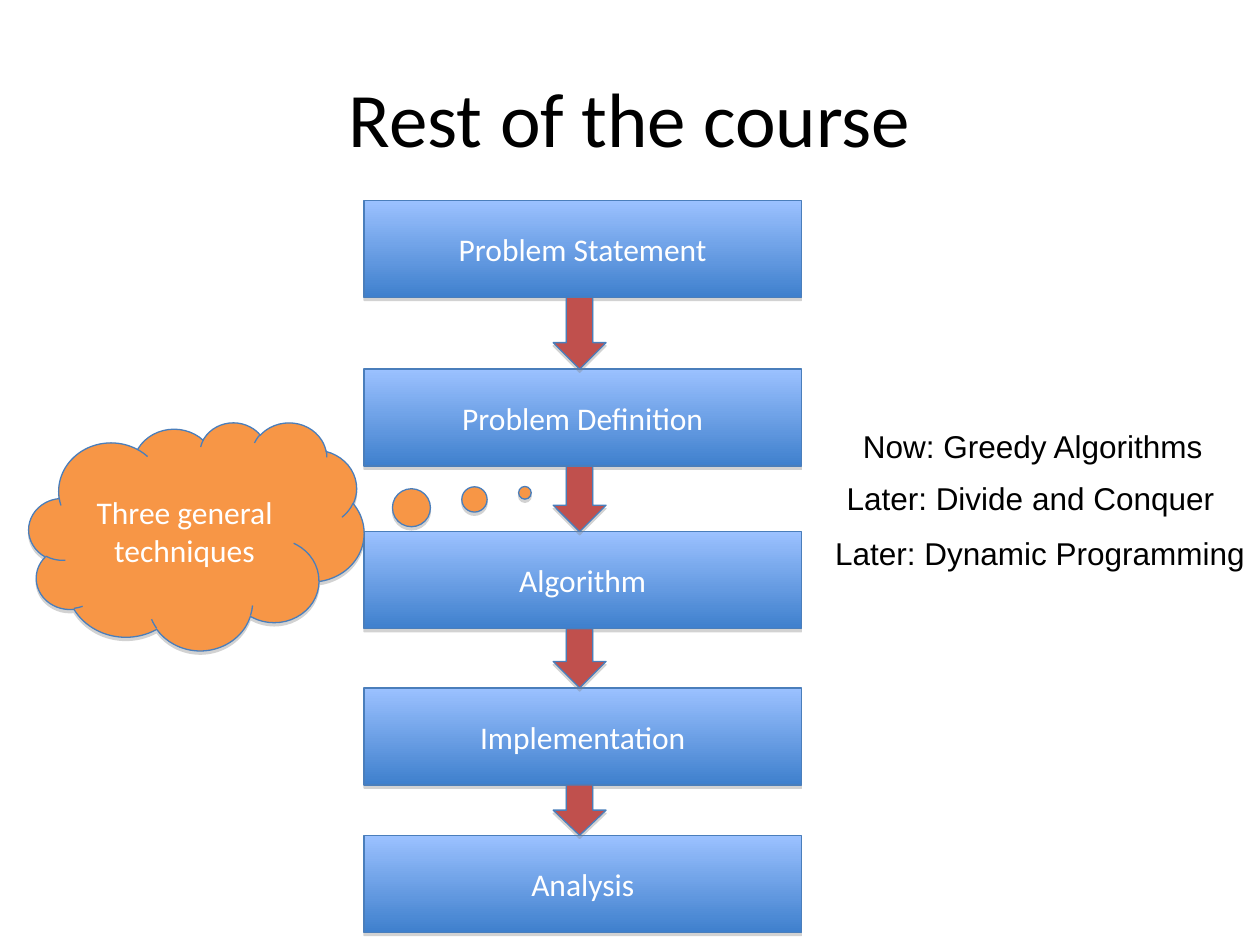
"""Build the course roadmap slide: a flow of five steps with notes beside it."""
import pptx
import pptx.dml.color
import pptx.enum.shapes
import pptx.enum.text
import pptx.oxml
import pptx.oxml.ns
import pptx.util
from pptx.util import Inches

RGBColor = pptx.dml.color.RGBColor
Shape = pptx.enum.shapes.MSO_SHAPE
Anchor = pptx.enum.text.MSO_ANCHOR
Align = pptx.enum.text.PP_ALIGN

BLACK = RGBColor(0x00, 0x00, 0x00)
WHITE = RGBColor(0xFF, 0xFF, 0xFF)
LIGHT_BLUE = RGBColor(0x9B, 0xC1, 0xFF)
DEEP_BLUE = RGBColor(0x3F, 0x80, 0xCD)
OUTLINE_BLUE = RGBColor(0x4A, 0x7E, 0xBB)
RED = RGBColor(0xC0, 0x50, 0x4D)
ORANGE = RGBColor(0xF7, 0x96, 0x46)

STEP_LEFT, STEP_WIDTH, STEP_HEIGHT = 2.89, 3.47, 0.77
ARROW_LEFT, ARROW_WIDTH = 4.39, 0.42
STEPS = [
    ("Problem Statement", 1.59),
    ("Problem Definition", 2.93),
    ("Algorithm", 4.22),
    ("Implementation", 5.46),
    ("Analysis", 6.63),
]
NOTES = [
    ("Now: Greedy Algorithms", 6.75, 3.34, 2.91),
    ("Later: Divide and Conquer", 6.62, 3.75, 3.12),
    ("Later: Dynamic Programming", 6.53, 4.19, 3.45),
]
SHADOW = (
    f'<a:outerShdw {pptx.oxml.ns.nsdecls("a")} dist="23000" dir="5400000" rotWithShape="0">'
    '<a:srgbClr val="808080"><a:alpha val="35000"/></a:srgbClr></a:outerShdw>'
)


def write_text(frame, text, size, name, color, align):
    """Put one formatted paragraph into a text frame."""
    frame.text = text
    para = frame.paragraphs[0]
    para.alignment = align
    para.font.size = pptx.util.Pt(size)
    para.font.name = name
    para.font.color.rgb = color


def add_figure(page, kind, left, top, width, height, colors):
    """Add an outlined shape with a drop shadow and a solid or gradient fill."""
    figure = page.shapes.add_shape(
        kind, Inches(left), Inches(top), Inches(width), Inches(height))
    if len(colors) == 1:
        figure.fill.solid()
        figure.fill.fore_color.rgb = colors[0]
    else:
        figure.fill.gradient()
        figure.fill.gradient_angle = 270
        for stop, color in zip(figure.fill.gradient_stops, colors):
            stop.color.rgb = color
    figure.line.color.rgb = OUTLINE_BLUE
    figure.line.width = pptx.util.Pt(0.75)
    figure.shadow.inherit = False
    effects = figure._element.spPr.find(pptx.oxml.ns.qn("a:effectLst"))
    effects.append(pptx.oxml.parse_xml(SHADOW))
    return figure


def add_label(figure, text):
    """Write white centred text inside a shape."""
    frame = figure.text_frame
    frame.word_wrap = True
    frame.vertical_anchor = Anchor.MIDDLE
    write_text(frame, text, 18, "Calibri", WHITE, Align.CENTER)


def add_title(page, text):
    """Place and format the slide title."""
    title = page.shapes.title
    title.left, title.top = Inches(0.5), Inches(0.3)
    title.width, title.height = Inches(9), Inches(1.25)
    title.text_frame.vertical_anchor = Anchor.MIDDLE
    write_text(title.text_frame, text, 44, "Calibri", BLACK, Align.CENTER)


def add_flow(page):
    """Add the step boxes and the arrows that fill the gaps between them."""
    for text, top in STEPS:
        step = add_figure(page, Shape.RECTANGLE, STEP_LEFT, top,
                          STEP_WIDTH, STEP_HEIGHT, [LIGHT_BLUE, DEEP_BLUE])
        add_label(step, text)
    for (_, top), (_, next_top) in zip(STEPS, STEPS[1:]):
        bottom = top + STEP_HEIGHT
        add_figure(page, Shape.DOWN_ARROW, ARROW_LEFT, bottom,
                   ARROW_WIDTH, next_top - bottom, [RED])


def add_thought(page, text):
    """Add the thought cloud that points at the algorithm step."""
    cloud = add_figure(page, Shape.CLOUD_CALLOUT, 0.23, 3.35, 2.66, 1.81, [ORANGE])
    cloud.adjustments[0] = 0.98
    cloud.adjustments[1] = -0.19
    add_label(cloud, text)


def add_note(page, text, left, top, width):
    """Add one line of plain text beside the flow."""
    box = page.shapes.add_textbox(
        Inches(left), Inches(top), Inches(width), Inches(0.4))
    frame = box.text_frame
    frame.word_wrap = False
    frame.auto_size = pptx.enum.text.MSO_AUTO_SIZE.SHAPE_TO_FIT_TEXT
    write_text(frame, text, 18, "Arial", BLACK, Align.LEFT)


def main():
    """Build and save the deck."""
    deck = pptx.Presentation()
    deck.slide_width, deck.slide_height = Inches(10), Inches(7.5)
    page = deck.slides.add_slide(deck.slide_layouts[5])
    add_title(page, "Rest of the course")
    add_flow(page)
    add_thought(page, "Three general techniques")
    for note in NOTES:
        add_note(page, *note)
    deck.save("out.pptx")


if __name__ == "__main__":
    main()
